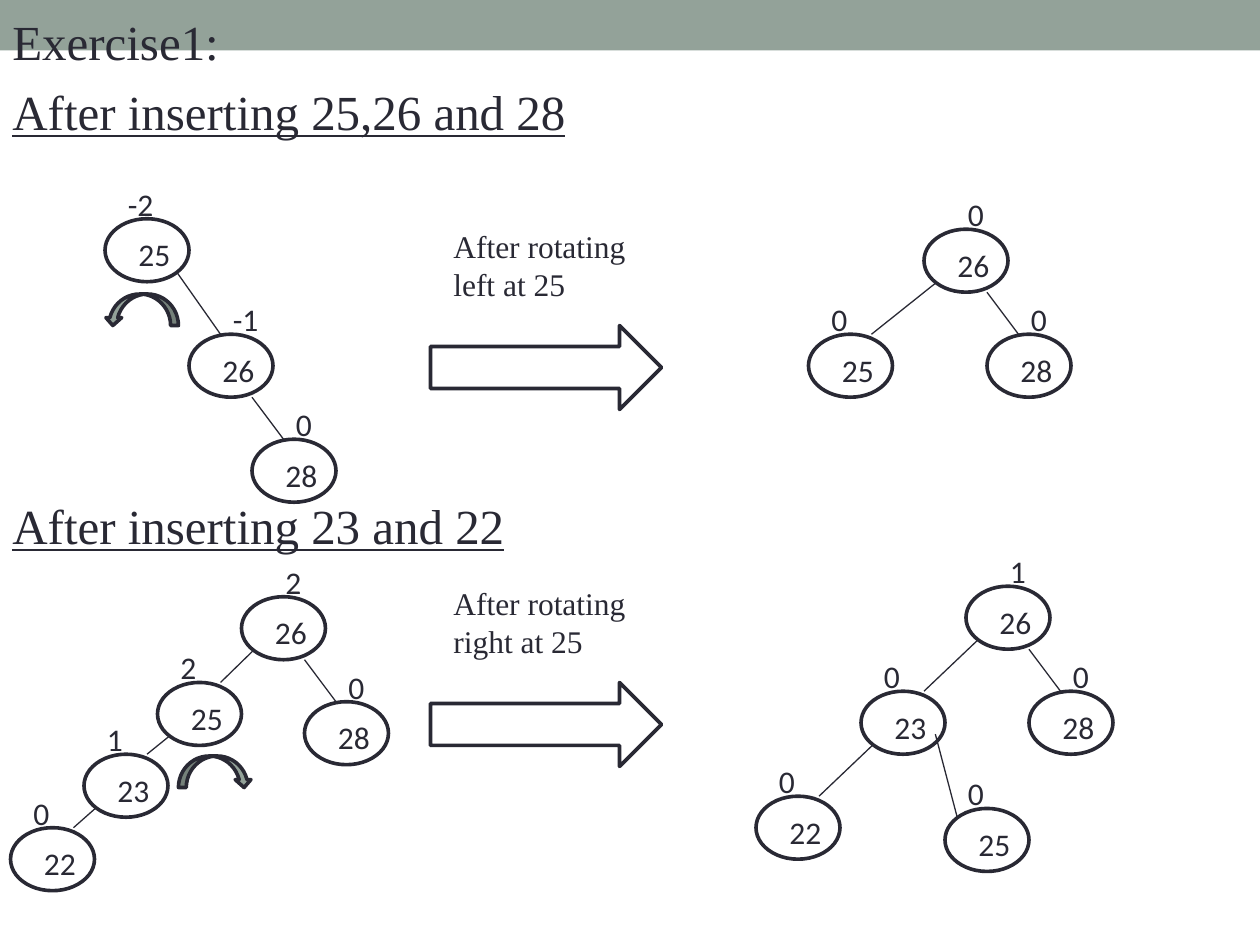
from lxml import etree
from pptx import Presentation
from pptx.dml.color import RGBColor
from pptx.enum import shapes, text
from pptx.oxml.ns import qn
from pptx.util import Pt

COLORS = {"ink": "292934", "sage": "93A299", "white": "FFFFFF"}
SERIF, SANS = "Times New Roman", "Calibri"

# text, underlined, space before
HEADINGS = [
    ("Exercise1:", False, 0),
    ("After inserting 25,26 and 28", True, 6.7),
    ("After inserting 23 and 22", True, 203),
]

# key, balance factor, side of the balance factor, left, top
# then edges: parent, child, edge style
TREES = [
    ([(25, "-2", "left", 60, 125), (26, "-1", "right", 108, 191),
      (28, "0", "right", 144, 251)],
     [(25, 26, "steep"), (26, 28, "right")]),
    ([(25, "0", "left", 462, 191), (26, "0", "right", 528, 131),
      (28, "0", "right", 564, 191)],
     [(26, 25, "left"), (26, 28, "right")]),
    ([(25, "2", "left", 90, 390), (26, "2", "right", 138, 341),
      (28, "0", "right", 174, 401), (23, "1", "left", 48, 431),
      (22, "0", "left", 6, 473)],
     [(26, 25, "left"), (26, 28, "right"), (25, 23, "left"), (23, 22, "left")]),
    ([(25, "0", "left", 540, 462), (26, "1", "right", 552, 335),
      (28, "0", "right", 588, 395), (23, "0", "left", 492, 395),
      (22, "0", "left", 432, 455)],
     [(26, 23, "left"), (26, 28, "right"), (23, 25, "inner"), (23, 22, "left")]),
]

# caption, caption top, arrow top
ROTATIONS = [
    ("After rotating left at 25", 126, 186),
    ("After rotating right at 25", 330, 390),
]
# left, top, mirrored
TURNS = [(60, 168, True), (102, 432, False)]

NODE_W, NODE_H = 48, 36
BALANCE_DX = {"left": 6, "right": 18}
# edge ends, as offsets from the corners of the parent and the child
EDGE_ENDS = {
    "left": ((7, 30.5), (36, 0)),
    "right": ((36, 36), (18, 0)),
    "steep": ((41, 30.5), (18, 0)),
    "inner": ((42.5, 24.5), (7, 5)),
}


def rgb(name):
    return RGBColor.from_string(COLORS[name])


def style(p, font, size):
    p.font.name, p.font.size = font, Pt(size)
    p.font.color.rgb = rgb("ink")


def add_text(s, words, x, y, w, h, font):
    tf = s.shapes.add_textbox(Pt(x), Pt(y), Pt(w), Pt(h)).text_frame
    tf.word_wrap = True
    p = tf.paragraphs[0]
    p.text = words
    style(p, font, 18)


def add_outlined(s, kind, x, y, w, h, fill=None, line=True):
    sp = s.shapes.add_shape(kind, Pt(x), Pt(y), Pt(w), Pt(h))
    sp.shadow.inherit = False
    if fill:
        sp.fill.solid()
        sp.fill.fore_color.rgb = rgb(fill)
    else:
        sp.fill.background()
    if line:
        sp.line.color.rgb = rgb("ink")
        sp.line.width = Pt(2.08)
    else:
        sp.line.fill.background()
    return sp


def add_headings(s):
    tf = s.shapes.add_textbox(Pt(0), Pt(2.8), Pt(702), Pt(320)).text_frame
    tf.word_wrap = True
    tf.vertical_anchor = text.MSO_ANCHOR.TOP
    for i, (words, underlined, before) in enumerate(HEADINGS):
        p = tf.add_paragraph() if i else tf.paragraphs[0]
        p.text = words
        p.space_before = Pt(before)
        style(p, SERIF, 28)
        p.font.underline = underlined


def add_tree(s, nodes, edges):
    corners = {}
    for key, balance, side, x, y in nodes:
        corners[key] = x, y
        add_outlined(s, shapes.MSO_SHAPE.OVAL, x, y, NODE_W, NODE_H, "white")
        add_text(s, str(key), x + 12, y + 6, 42, 29, SANS)
        add_text(s, balance, x + BALANCE_DX[side], y - 23, 30, 29, SANS)
    for parent, child, kind in edges:
        (x1, y1), (x2, y2) = (
            (corners[key][0] + dx, corners[key][1] + dy)
            for key, (dx, dy) in zip((parent, child), EDGE_ENDS[kind]))
        c = s.shapes.add_connector(shapes.MSO_CONNECTOR.STRAIGHT,
                                   Pt(x1), Pt(y1), Pt(x2), Pt(y2))
        c.line.color.rgb = rgb("ink")
        c.line.width = Pt(0.75)
        etree.SubElement(c._element.spPr, qn("a:effectLst"))


def main():
    prs = Presentation()
    prs.slide_width, prs.slide_height = Pt(720), Pt(540)
    s = prs.slides.add_slide(prs.slide_layouts[6])

    add_outlined(s, shapes.MSO_SHAPE.RECTANGLE, 0, 0, 720, 28.8, "sage", line=False)
    add_headings(s)
    for nodes, edges in TREES:
        add_tree(s, nodes, edges)
    for caption, caption_y, arrow_y in ROTATIONS:
        add_text(s, caption, 252, caption_y, 114, 51, SERIF)
        add_outlined(s, shapes.MSO_SHAPE.RIGHT_ARROW, 246, arrow_y, 132, 48)
    for x, y, mirrored in TURNS:
        sp = add_outlined(s, shapes.MSO_SHAPE.CURVED_DOWN_ARROW, x, y, 42, 18, "sage")
        if mirrored:
            sp._element.spPr.xfrm.set("flipH", "1")

    prs.save("out.pptx")


if __name__ == "__main__":
    main()
